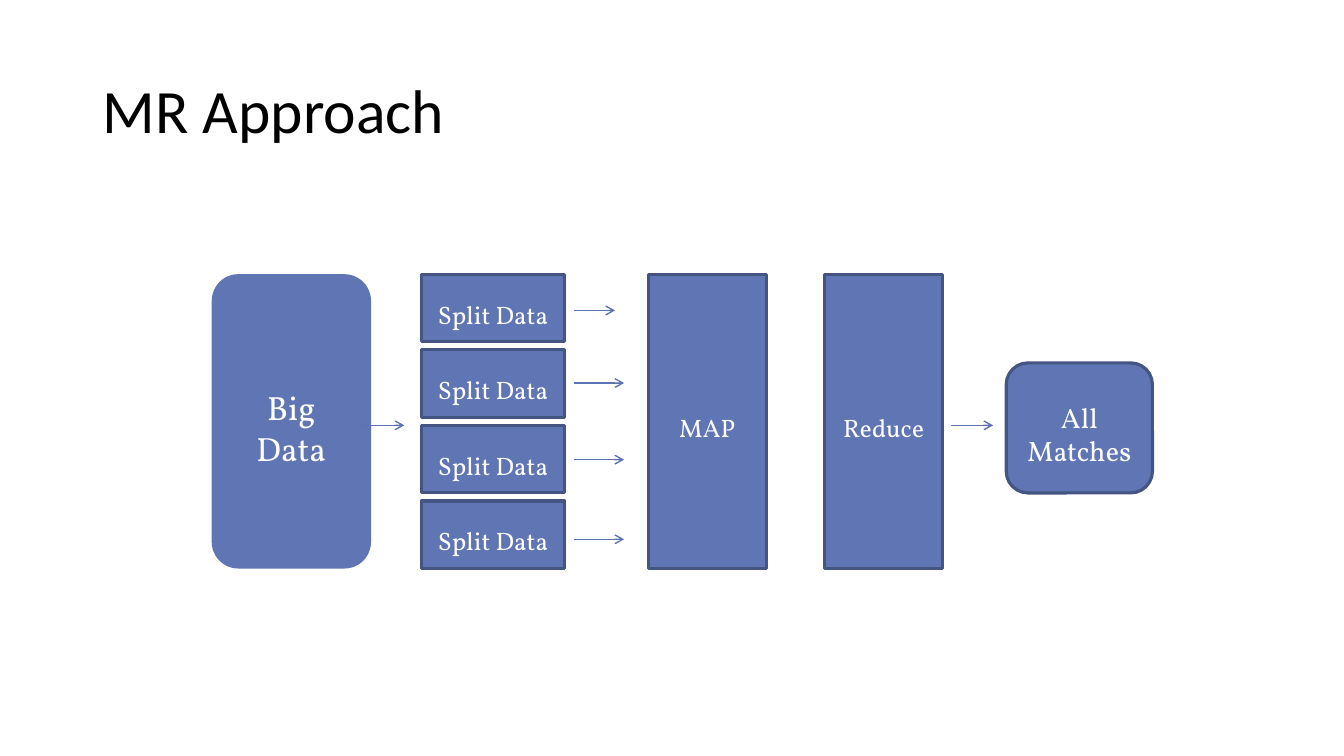
from dataclasses import dataclass

from lxml.etree import SubElement
from pptx import Presentation
from pptx.dml.color import RGBColor
from pptx.enum.shapes import MSO_CONNECTOR as Connector
from pptx.enum.shapes import MSO_SHAPE as Preset
from pptx.enum.text import MSO_ANCHOR as Anchor
from pptx.enum.text import MSO_AUTO_SIZE as AutoSize
from pptx.enum.text import PP_ALIGN as Align
from pptx.oxml.ns import qn
from pptx.slide import Slide
from pptx.util import Pt

EMU_PER_PX = 9144  # 100 px to the inch


@dataclass(frozen=True)
class Theme:
    title_font: str = "Calibri"
    label_font: str = "Vollkorn"
    title_color: str = "000000"
    label_color: str = "FFFFFF"
    fill: str = "6076B4"
    outline: str = "445583"
    arrow: str = "5C72B2"
    title_size: int = 44
    source_size: int = 24
    result_size: int = 20
    step_size: int = 18
    outline_width: float = 2.28
    arrow_width: float = 1


@dataclass(frozen=True)
class Stage:
    label: str
    left: int
    top: int
    width: int
    height: int
    size: int
    rounded: bool = False
    outlined: bool = True


@dataclass(frozen=True)
class Arrow:
    start: int
    end: int
    y: int


THEME = Theme()

# Layout of the pipeline
TOP, TALL, MIDDLE = 272, 292, 422
SPLIT_COUNT, SPLIT_HEIGHT, SPLIT_PITCH = 4, 67, 75
LABEL_DROP = 12

STAGES = [
    Stage("Big\nData", 210, TOP, 158, TALL, THEME.source_size, rounded=True, outlined=False),
    *(
        Stage("Split Data", 418, TOP + row * SPLIT_PITCH, 142, SPLIT_HEIGHT, THEME.step_size)
        for row in range(SPLIT_COUNT)
    ),
    Stage("MAP", 643, TOP, 117, TALL, THEME.step_size),
    Stage("Reduce", 818, TOP, 117, TALL, THEME.step_size),
    Stage("All\nMatches", 998, 360, 145, 129, THEME.result_size, rounded=True),
]

ARROWS = [
    Arrow(355, 401, MIDDLE),
    Arrow(569, 610, 308),
    *(Arrow(569, 619, y) for y in (380, 456, 535)),
    Arrow(943, 985, MIDDLE),
]


def px(length: int) -> int:
    return length * EMU_PER_PX


def color(value: str) -> RGBColor:
    return RGBColor.from_string(value)


def apply(target: object, values: dict) -> None:
    for name, value in values.items():
        setattr(target, name, value)


def add_title(page: Slide, text: str) -> None:
    title = page.shapes.title
    apply(title, {"left": px(92), "top": px(40), "width": px(1150), "height": px(145)})
    frame = title.text_frame
    frame.text = text
    apply(frame, {"vertical_anchor": Anchor.MIDDLE, "auto_size": AutoSize.NONE})
    para = frame.paragraphs[0]
    apply(para, {"alignment": Align.LEFT, "line_spacing": 0.9})
    font = para.runs[0].font
    apply(font, {"name": THEME.title_font, "size": Pt(THEME.title_size)})
    font.color.rgb = color(THEME.title_color)


def add_stage(page: Slide, stage: Stage) -> None:
    preset = Preset.ROUNDED_RECTANGLE if stage.rounded else Preset.RECTANGLE
    box = page.shapes.add_shape(
        preset, px(stage.left), px(stage.top), px(stage.width), px(stage.height)
    )
    box.shadow.inherit = False
    box.fill.solid()
    box.fill.fore_color.rgb = color(THEME.fill)
    if stage.outlined:
        box.line.color.rgb = color(THEME.outline)
        box.line.width = Pt(THEME.outline_width)
    else:
        box.line.fill.background()

    # Label, set slightly below the middle
    frame = box.text_frame
    frame.text = stage.label
    apply(frame, {
        "vertical_anchor": Anchor.MIDDLE, "word_wrap": True,
        "margin_left": 0, "margin_right": 0,
        "margin_top": px(LABEL_DROP), "margin_bottom": 0,
    })
    for para in frame.paragraphs:
        para.alignment = Align.CENTER
        for span in para.runs:
            apply(span.font, {"name": THEME.label_font, "size": Pt(stage.size)})
            span.font.color.rgb = color(THEME.label_color)
            span.font._element.set("spc", "10")


def add_arrow(page: Slide, arrow: Arrow) -> None:
    connector = page.shapes.add_connector(
        Connector.STRAIGHT, px(arrow.start), px(arrow.y), px(arrow.end), px(arrow.y)
    )
    connector.line.color.rgb = color(THEME.arrow)
    connector.line.width = Pt(THEME.arrow_width)
    SubElement(connector.line._ln, qn("a:tailEnd"), type="arrow")
    SubElement(connector._element.spPr, qn("a:effectLst"))


def main() -> None:
    deck = Presentation()
    apply(deck, {"slide_width": px(1333), "slide_height": px(750)})
    page = deck.slides.add_slide(deck.slide_layouts.get_by_name("Title Only"))
    add_title(page, "MR Approach")
    for stage in STAGES:
        add_stage(page, stage)
    for arrow in ARROWS:
        add_arrow(page, arrow)
    deck.save("out.pptx")


if __name__ == "__main__":
    main()
